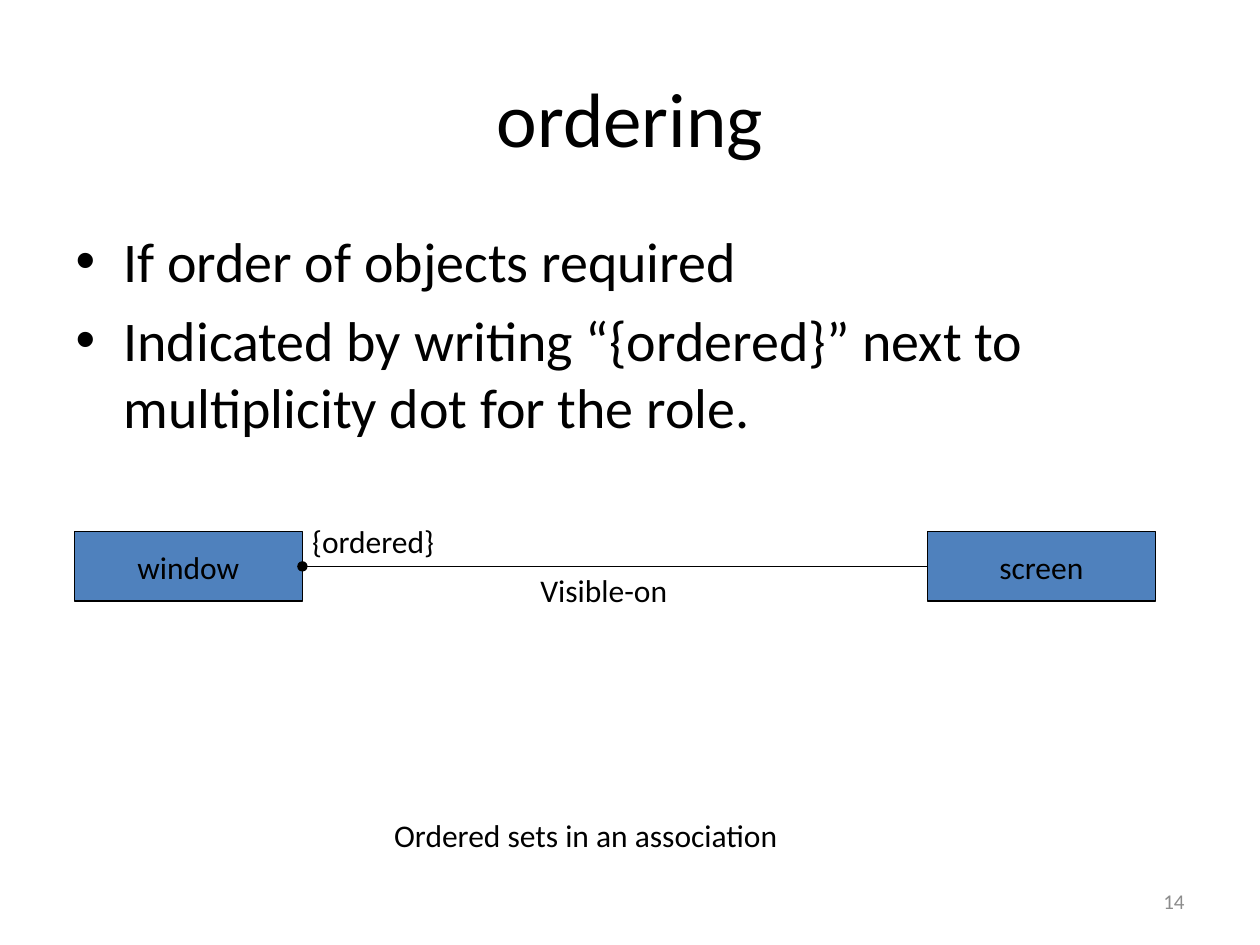
from dataclasses import dataclass

from lxml import etree
from pptx import Presentation
from pptx.dml.color import RGBColor
from pptx.enum.shapes import MSO_CONNECTOR, MSO_SHAPE
from pptx.enum.text import MSO_ANCHOR, MSO_AUTO_SIZE, PP_ALIGN
from pptx.oxml.ns import qn
from pptx.util import Inches, Pt

BLACK = RGBColor(0x00, 0x00, 0x00)
GREY = RGBColor(0x8C, 0x8C, 0x8C)
BLUE = RGBColor(0x4F, 0x81, 0xBD)
LEFT, CENTER, RIGHT = PP_ALIGN.LEFT, PP_ALIGN.CENTER, PP_ALIGN.RIGHT
TOP, MIDDLE = MSO_ANCHOR.TOP, MSO_ANCHOR.MIDDLE
FIT_SHAPE, NO_FIT = MSO_AUTO_SIZE.SHAPE_TO_FIT_TEXT, MSO_AUTO_SIZE.NONE
RECTANGLE, STRAIGHT = MSO_SHAPE.RECTANGLE, MSO_CONNECTOR.STRAIGHT
FONT = "Calibri"
THIN = Pt(0.75)

# Class boxes share one row; the association joins them at mid-height
CLASS_TOP, CLASS_WIDTH, CLASS_HEIGHT = 4.22, 1.81, 0.55
WINDOW_LEFT, SCREEN_LEFT = 0.59, 7.36
LABEL_HEIGHT = 0.4


@dataclass
class Label:
    text: str
    left: float
    top: float
    width: float


CLASSES = {"window": WINDOW_LEFT, "screen": SCREEN_LEFT}
LABELS = [
    Label("{ordered}", 2.38, 4.09, 1.23),
    Label("Visible-on", 4.19, 4.48, 1.3),
    Label("Ordered sets in an association", 3.03, 6.43, 3.58),
]
BULLETS = [
    "If order of objects required",
    "Indicated by writing “{ordered}” next to multiplicity dot for the role.",
]


def write(para, text: str, size: float = 18, color: RGBColor = BLACK, align=LEFT) -> None:
    span = para.add_run()
    span.text = text
    span.font.name = FONT
    span.font.size = Pt(size)
    span.font.color.rgb = color
    para.alignment = align


def place(shape, left: float, top: float, width: float, height: float) -> None:
    shape.left, shape.top = Inches(left), Inches(top)
    shape.width, shape.height = Inches(width), Inches(height)


def add_bullets(frame, items: list[str]) -> None:
    for index, item in enumerate(items):
        para = frame.paragraphs[0] if index == 0 else frame.add_paragraph()
        properties = para._p.get_or_add_pPr()
        properties.set("marL", str(Inches(0.38)))
        properties.set("indent", str(Inches(-0.38)))
        etree.SubElement(properties, qn("a:buChar")).set("char", "•")
        para.space_before = Pt(32 * 0.2 if index else 0)
        write(para, item, size=32)


def add_class(slide, name: str, left: float) -> None:
    box = slide.shapes.add_shape(RECTANGLE, 0, 0, 0, 0)
    place(box, left, CLASS_TOP, CLASS_WIDTH, CLASS_HEIGHT)
    box.shadow.inherit = False
    box.fill.solid()
    box.fill.fore_color.rgb = BLUE
    box.line.color.rgb = BLACK
    box.line.width = THIN
    box.text_frame.word_wrap = False
    box.text_frame.vertical_anchor = MIDDLE
    write(box.text_frame.paragraphs[0], name, align=CENTER)


def add_association(slide) -> None:
    middle = Inches(CLASS_TOP + CLASS_HEIGHT / 2)
    start, end = Inches(WINDOW_LEFT + CLASS_WIDTH), Inches(SCREEN_LEFT)
    link = slide.shapes.add_connector(STRAIGHT, start, middle, end, middle)
    link.line.color.rgb = BLACK
    link.line.width = THIN
    etree.SubElement(link.line._get_or_add_ln(), qn("a:headEnd")).set("type", "oval")
    etree.SubElement(link._element.spPr, qn("a:effectLst"))


def add_label(slide, label: Label, wrap: bool = False, anchor=TOP, **style) -> None:
    box = slide.shapes.add_textbox(0, 0, 0, 0)
    frame = box.text_frame
    frame.word_wrap = wrap
    frame.auto_size = NO_FIT if wrap else FIT_SHAPE
    frame.vertical_anchor = anchor
    write(frame.paragraphs[0], label.text, **style)
    place(box, label.left, label.top, label.width, LABEL_HEIGHT)


def main() -> None:
    deck = Presentation()
    deck.slide_width, deck.slide_height = Inches(10), Inches(7.5)
    page = deck.slides.add_slide(deck.slide_layouts[1])

    # Title and list
    title, body = page.shapes.title, page.placeholders[1]
    place(title, 0.5, 0.3, 9, 1.25)
    title.text_frame.vertical_anchor = MIDDLE
    write(title.text_frame.paragraphs[0], "ordering", size=44, align=CENTER)
    place(body, 0.5, 1.75, 9, 4.95)
    add_bullets(body.text_frame, BULLETS)

    # Class diagram
    for name, left in CLASSES.items():
        add_class(page, name, left)
    add_association(page)
    for label in LABELS:
        add_label(page, label)

    # Page number
    add_label(page, Label("14", 7.17, 6.95, 2.33), wrap=True, anchor=MIDDLE,
              size=12, color=GREY, align=RIGHT)

    deck.save("out.pptx")


if __name__ == "__main__":
    main()
